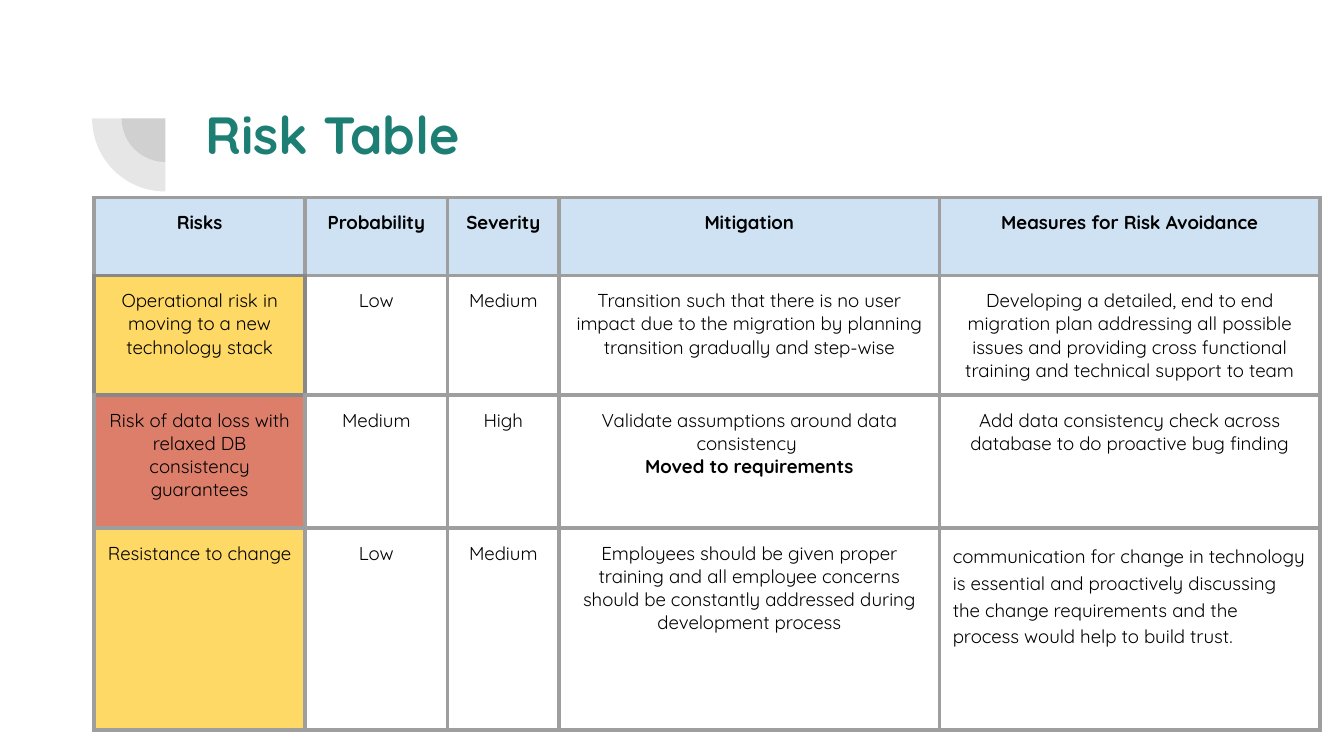
from typing import NamedTuple

from lxml import etree
from pptx import Presentation
from pptx.dml.color import RGBColor
from pptx.enum.shapes import MSO_SHAPE
from pptx.enum.text import PP_ALIGN
from pptx.oxml.ns import qn
from pptx.util import Inches, Pt

PIE = MSO_SHAPE.PIE
LEFT, CENTER = PP_ALIGN.LEFT, PP_ALIGN.CENTER
FONT = "Quicksand"
BLACK, TEAL, SLATE = "000000", "1D7E74", "424242"
BLUE, YELLOW, RED = "CFE2F3", "FFD966", "DD7E6B"
GRAY, DARK = "9E9E9E", "888888"


class Row(NamedTuple):
    height: float
    fill: str
    texts: tuple[str, ...]


COLS = (1.57, 1.06, 0.83, 2.83, 2.83)
STRONG = "Moved to requirements"
ROWS = (
    Row(0.58, BLUE, ("Risks", "Probability", "Severity", "Mitigation",
                     "Measures for Risk Avoidance")),
    Row(0.89, YELLOW, (
        "Operational risk in moving to a new technology stack",
        "Low", "Medium",
        "Transition such that there is no user impact due to the migration "
        "by planning transition gradually and step-wise",
        "Developing a detailed, end to end migration plan addressing all "
        "possible issues and providing cross functional training and "
        "technical support to team")),
    Row(0.99, RED, (
        "Risk of data loss with relaxed DB consistency guarantees",
        "Medium", "High",
        "Validate assumptions around data consistency \n" + STRONG,
        "Add data consistency check across database to do proactive bug "
        "finding")),
    Row(1.5, YELLOW, (
        "Resistance to change",
        "Low", "Medium",
        "Employees should be given proper training and all employee concerns "
        "should be constantly addressed during development process",
        "communication for change in technology is essential and proactively "
        "discussing the change requirements and the process would help to "
        "build trust.")),
)


def rgb(code: str) -> RGBColor:
    return RGBColor.from_string(code)


def style(para, size: float, color: str, bold: bool) -> None:
    for run in para.runs:
        font = run.font
        font.name, font.size, font.bold = FONT, Pt(size), bold
        font.color.rgb = rgb(color)


def pad(box) -> None:
    box.margin_left = box.margin_right = Inches(0.1)
    box.margin_top = box.margin_bottom = Inches(0.1)


def draw_pie(slide, mid: tuple[float, float], size: float) -> None:
    x, y = mid
    pie = slide.shapes.add_shape(PIE, Inches(x - size / 2), Inches(y - size / 2),
                                 Inches(size), Inches(size))
    pie.adjustments[0], pie.adjustments[1] = 107.93, 162
    pie.rotation = 270
    pie.shadow.inherit = False
    pie.line.fill.background()
    pie.fill.solid()
    pie.fill.fore_color.rgb = rgb(SLATE)
    tint = pie.fill._xPr.find(qn("a:solidFill"))[0]
    etree.SubElement(tint, qn("a:alpha"), val="13000")


def draw_edge(cell, side: str, color: str) -> None:
    props = cell._tc.get_or_add_tcPr()
    line = etree.SubElement(props, qn("a:ln" + side), w=str(Pt(2.25)))
    fill = etree.SubElement(line, qn("a:solidFill"))
    etree.SubElement(fill, qn("a:srgbClr"), val=color)


def edge_color(r: int, c: int, side: str) -> str:
    # The first risk cell has a darker frame, shared with its neighbours
    shared = {(0, 0): "B", (1, 0): "LRTB", (1, 1): "L", (2, 0): "T"}
    return DARK if side in shared.get((r, c), "") else GRAY


def draw_table(slide, x: float, y: float) -> None:
    frame = slide.shapes.add_table(
        len(ROWS), len(COLS), Inches(x), Inches(y), Inches(sum(COLS)),
        Inches(sum(row.height for row in ROWS)))
    table = frame.table
    table.first_row = table.horz_banding = False
    for col, width in zip(table.columns, COLS):
        col.width = Inches(width)
    for r, row in enumerate(ROWS):
        table.rows[r].height = Inches(row.height)
        for c, text in enumerate(row.texts):
            cell = table.cell(r, c)
            pad(cell)
            for side in "LRTB":
                draw_edge(cell, side, edge_color(r, c, side))
            if r == 0 or c == 0:
                cell.fill.solid()
                cell.fill.fore_color.rgb = rgb(row.fill)
            else:
                cell.fill.background()
            cell.text_frame.text = text
            last = r == len(ROWS) - 1 and c == len(COLS) - 1
            for para in cell.text_frame.paragraphs:
                para.alignment = LEFT if last else CENTER
                if last:
                    para.line_spacing = 1.15
                style(para, 10, BLACK, r == 0 or para.text == STRONG)


def main() -> None:
    # Widescreen page, 16 to 9
    deck = Presentation()
    deck.slide_width, deck.slide_height = Inches(10), Inches(10 * 9 / 16)
    slide = deck.slides.add_slide(deck.slide_layouts[6])

    # Corner ornament
    for size in (0.65, 1.09):
        draw_pie(slide, (1.23, 0.88), size)

    # Title
    title = slide.shapes.add_textbox(Inches(1.43), Inches(0.66),
                                     Inches(7.69), Inches(0.56)).text_frame
    title.word_wrap = True
    pad(title)
    title.text = "Risk Table"
    style(title.paragraphs[0], 28, TEAL, True)

    # Risk table
    draw_table(slide, 0.7, 1.47)
    deck.save("out.pptx")


if __name__ == "__main__":
    main()
